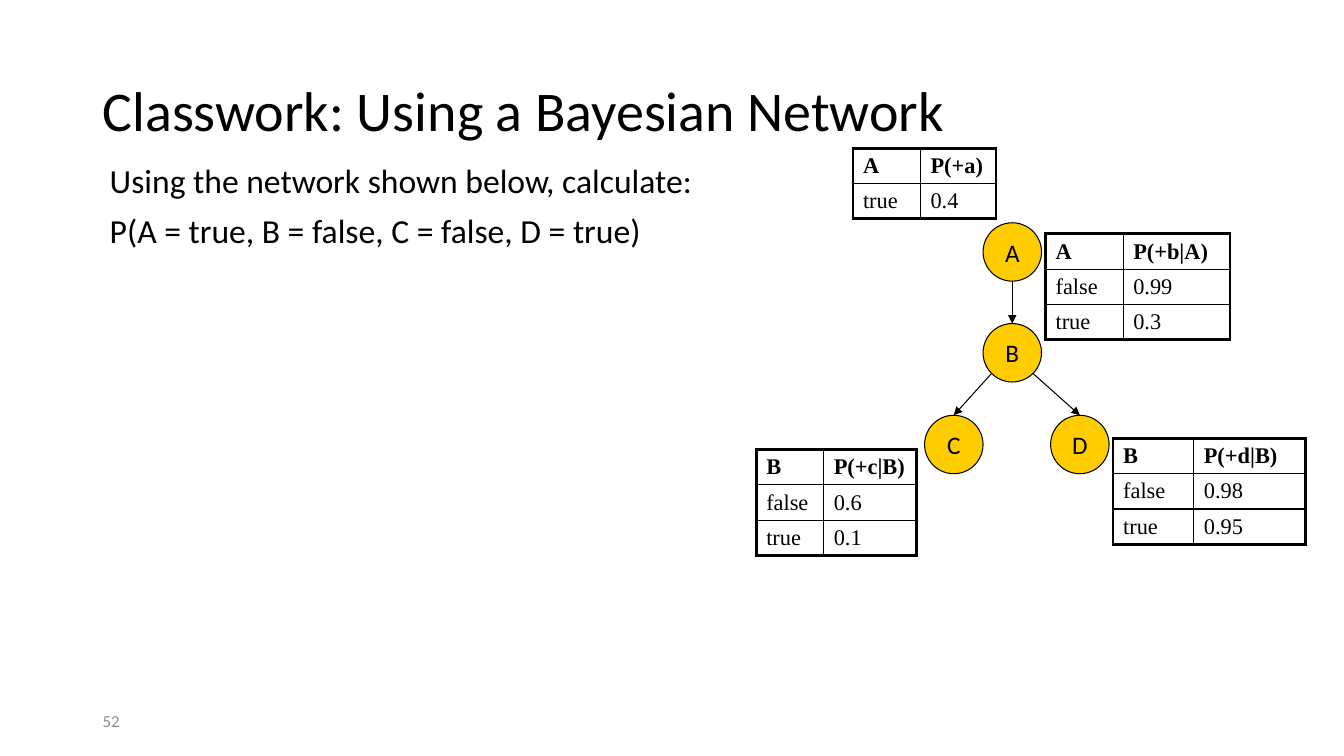
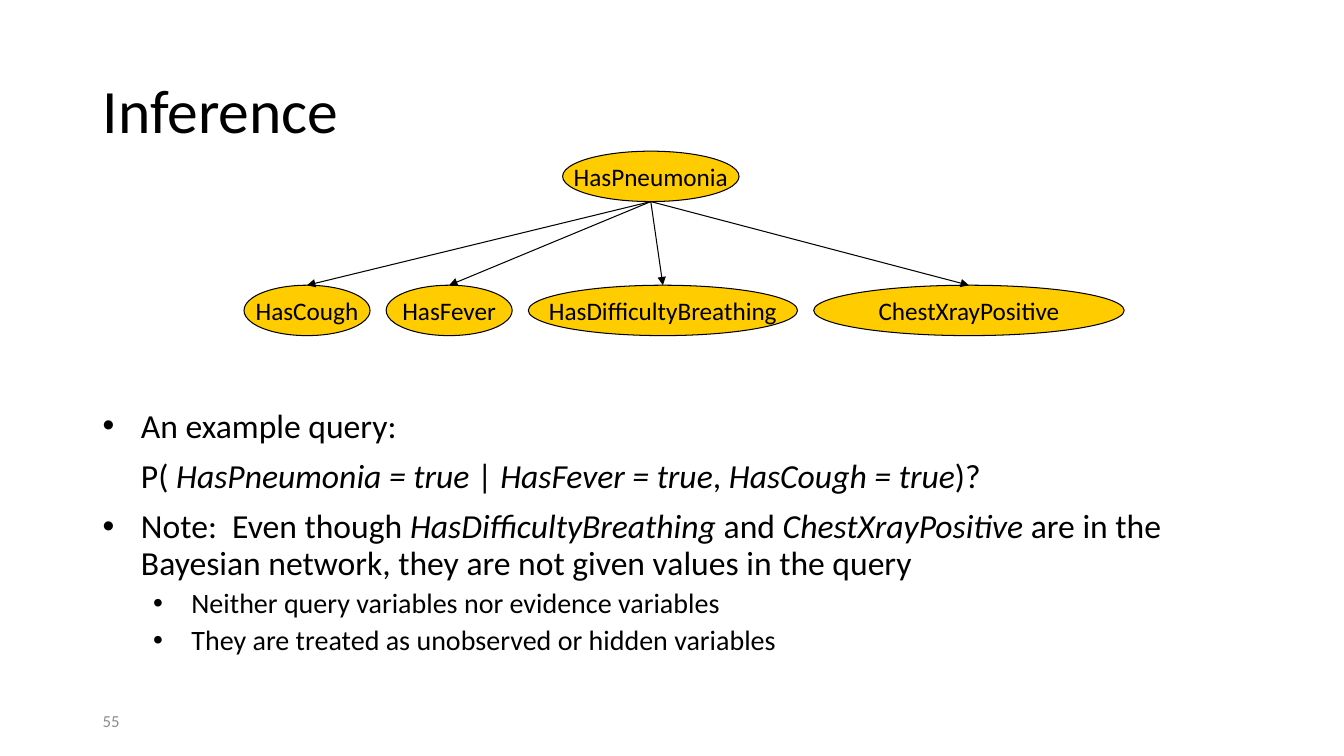
"""Build two slides on Bayesian networks: a classwork task and an inference example."""
import math

from lxml import etree
from pptx import Presentation
from pptx import util as u
from pptx.dml import color
from pptx.enum import shapes, text
from pptx.oxml import ns

BLACK, GREY, GOLD = "000000", "8C8C8C", "FFCC00"
SANS, SERIF = "Calibri", "Times New Roman"
THIN, INNER, OUTER = 0.75, 1, 2.25
ROW_HEIGHT, NODE_SIZE, LEAF_GAP = 0.35, 0.58, 0.16

PLAIN = {"indent": 0, "hanging": 0, "before": 10, "size": 24, "bullet": False}
POINT = {**PLAIN, "indent": 0.38, "hanging": 0.38, "bullet": True}
CONTINUED = {**PLAIN, "indent": 0.38}
SUBPOINT = {**POINT, "indent": 0.88, "before": 5, "size": 20, "level": 1}


def rgb(value):
    """Turn a hex string into a colour."""
    return color.RGBColor.from_string(value)


def apply(target, formats):
    """Set every attribute in formats on target."""
    for name, value in formats.items():
        setattr(target, name, value)


def add_run(paragraph, words, size, font=SANS, tint=BLACK, **extra):
    """Append one formatted run to a paragraph."""
    run = paragraph.add_run()
    run.text = words
    apply(run.font, {"size": u.Pt(size), "name": font, **extra})
    run.font.color.rgb = rgb(tint)


def add_box(slide, left, top, width, height, anchor=text.MSO_ANCHOR.TOP):
    """Add a wrapping text box and return its text frame."""
    frame = slide.shapes.add_textbox(*map(u.Inches, (left, top, width, height))).text_frame
    apply(frame, {"word_wrap": True, "vertical_anchor": anchor})
    return frame


def add_page(deck, title, title_size, number):
    """Add a blank slide with the shared title and page number."""
    slide = deck.slides.add_slide(deck.slide_layouts[6])
    middle = text.MSO_ANCHOR.MIDDLE
    heading = add_box(slide, 0.92, 0.4, 11.5, 1.45, middle).paragraphs[0]
    heading.line_spacing = 0.9
    add_run(heading, title, title_size)
    footer = add_box(slide, 0.92, 6.95, 3, 0.4, middle).paragraphs[0]
    add_run(footer, number, 12, tint=GREY)
    return slide


def add_body(slide, place, lines):
    """Add body paragraphs; words between asterisks are italic."""
    frame = add_box(slide, *place)
    for index, (words, style) in enumerate(lines):
        paragraph = frame.add_paragraph() if index else frame.paragraphs[0]
        properties = paragraph._p.get_or_add_pPr()
        properties.set("marL", str(u.Inches(style["indent"])))
        properties.set("indent", str(-u.Inches(style["hanging"])))
        if style["bullet"]:
            etree.SubElement(properties, ns.qn("a:buFont"), typeface="Arial")
            etree.SubElement(properties, ns.qn("a:buChar"), char="•")
        else:
            etree.SubElement(properties, ns.qn("a:buNone"))
        apply(paragraph, {"level": style.get("level", 0), "line_spacing": 0.9,
                          "space_before": u.Pt(style["before"] if index else 0)})
        for part, piece in enumerate(words.split("*")):
            add_run(paragraph, piece, style["size"], italic=part % 2 == 1)


def add_node(slide, label, left, top, width, height):
    """Add a gold network node with a centred label."""
    place = map(u.Inches, (left, top, width, height))
    node = slide.shapes.add_shape(shapes.MSO_SHAPE.OVAL, *place)
    node.shadow.inherit = False
    node.fill.solid()
    node.fill.fore_color.rgb = rgb(GOLD)
    node.line.color.rgb = rgb(BLACK)
    node.line.width = u.Pt(THIN)
    apply(node.text_frame, {"word_wrap": False, "vertical_anchor": text.MSO_ANCHOR.MIDDLE})
    paragraph = node.text_frame.paragraphs[0]
    paragraph.alignment = text.PP_ALIGN.CENTER
    add_run(paragraph, label, 18)
    return node


def add_edge(slide, parent, child, side=0):
    """Draw an arrow from the parent's lower left (-1), bottom (0) or lower right (1) to the child's top."""
    angle = math.radians(45 * side)
    start_x = parent.left + parent.width / 2 * (1 + math.sin(angle))
    start_y = parent.top + parent.height / 2 * (1 + math.cos(angle))
    edge = slide.shapes.add_connector(
        shapes.MSO_CONNECTOR.STRAIGHT, round(start_x), round(start_y),
        child.left + child.width // 2, child.top)
    edge.end_connect(child, 0)
    edge.line.color.rgb = rgb(BLACK)
    edge.line.width = u.Pt(THIN)
    etree.SubElement(edge.line._get_or_add_ln(), ns.qn("a:tailEnd"), type="triangle")
    etree.SubElement(edge._element.spPr, ns.qn("a:effectLst"))


def add_borders(cell, outer_sides):
    """Draw cell borders, heavier on the table's outer sides."""
    properties = cell._tc.get_or_add_tcPr()
    for side in "LRTB":
        weight = OUTER if side in outer_sides else INNER
        line = etree.SubElement(properties, ns.qn("a:ln" + side), w=str(u.Pt(weight)))
        fill = etree.SubElement(line, ns.qn("a:solidFill"))
        etree.SubElement(fill, ns.qn("a:srgbClr"), val=BLACK)


def add_probabilities(slide, left, top, widths, rows):
    """Add a conditional probability table with a bold header row."""
    size = map(u.Inches, (left, top, sum(widths), ROW_HEIGHT * len(rows)))
    table = slide.shapes.add_table(len(rows), len(widths), *size).table
    apply(table, {"first_row": False, "horz_banding": False})
    for column, width in zip(table.columns, widths):
        column.width = u.Inches(width)
    last_row, last_column = len(rows) - 1, len(widths) - 1
    for r, row in enumerate(rows):
        table.rows[r].height = u.Inches(ROW_HEIGHT)
        for c, value in enumerate(row):
            cell = table.cell(r, c)
            edges = {"L": c == 0, "R": c == last_column, "T": r == 0, "B": r == last_row}
            add_borders(cell, [side for side, outer in edges.items() if outer])
            cell.fill.background()
            apply(cell, {"margin_top": u.Inches(0.04), "margin_bottom": u.Inches(0.04),
                         "vertical_anchor": text.MSO_ANCHOR.MIDDLE})
            add_run(cell.text_frame.paragraphs[0], value, 16, SERIF, bold=r == 0)


def build_classwork(deck):
    """Build the classwork slide with its four-node network."""
    slide = add_page(deck, "Classwork: Using a Bayesian Network", 40, "52")
    add_body(slide, (0.99, 1.58, 9.93, 2.83), [
        ("Using the network shown below, calculate:", PLAIN),
        ("P(A = true, B = false, C = false, D = true)", PLAIN)])
    corners = {"A": (9.75, 2.21), "B": (9.75, 3.21), "C": (9.17, 4.12), "D": (10.42, 4.12)}
    nodes = {label: add_node(slide, label, *corner, NODE_SIZE, NODE_SIZE)
             for label, corner in corners.items()}
    for parent, child, side in (("A", "B", 0), ("B", "C", -1), ("B", "D", 1)):
        add_edge(slide, nodes[parent], nodes[child], side)
    add_probabilities(slide, 8.46, 1.47, (0.67, 0.75), [("A", "P(+a)"), ("true", "0.4")])
    conditionals = [
        (10.37, 2.32, (0.77, 1.06), "A", "P(+b|A)", "0.99", "0.3"),
        (7.5, 4.46, (0.67, 0.92), "B", "P(+c|B)", "0.6", "0.1"),
        (11.04, 4.35, (0.8, 1.11), "B", "P(+d|B)", "0.98", "0.95")]
    for left, top, widths, given, heading, if_false, if_true in conditionals:
        add_probabilities(slide, left, top, widths, [
            (given, heading), ("false", if_false), ("true", if_true)])


def build_inference(deck):
    """Build the inference slide with the pneumonia network."""
    slide = add_page(deck, "Inference", 44, "55")
    add_body(slide, (0.92, 4.01, 11.79, 2.92), [
        ("An example query:", POINT),
        ("P( *HasPneumonia = true* | *HasFever = true*, *HasCough = true*)?", CONTINUED),
        ("Note:  Even though *HasDifficultyBreathing* and *ChestXrayPositive* are in the "
         "Bayesian network, they are not given values in the query", POINT),
        ("Neither query variables nor evidence variables", SUBPOINT),
        ("They are treated as unobserved or hidden variables", SUBPOINT)])
    cause = add_node(slide, "HasPneumonia", 5.58, 1.5, 1.75, 0.5)
    left = 2.42
    for label, width in (("HasCough", 1.25), ("HasFever", 1.25),
                         ("HasDifficultyBreathing", 2.67), ("ChestXrayPositive", 3.08)):
        add_edge(slide, cause, add_node(slide, label, left, 2.83, width, 0.5))
        left += width + LEAF_GAP


def main():
    """Build and save the presentation."""
    deck = Presentation()
    apply(deck, {"slide_width": u.Inches(13.33), "slide_height": u.Inches(7.5)})
    build_classwork(deck)
    build_inference(deck)
    deck.save("out.pptx")


if __name__ == "__main__":
    main()
